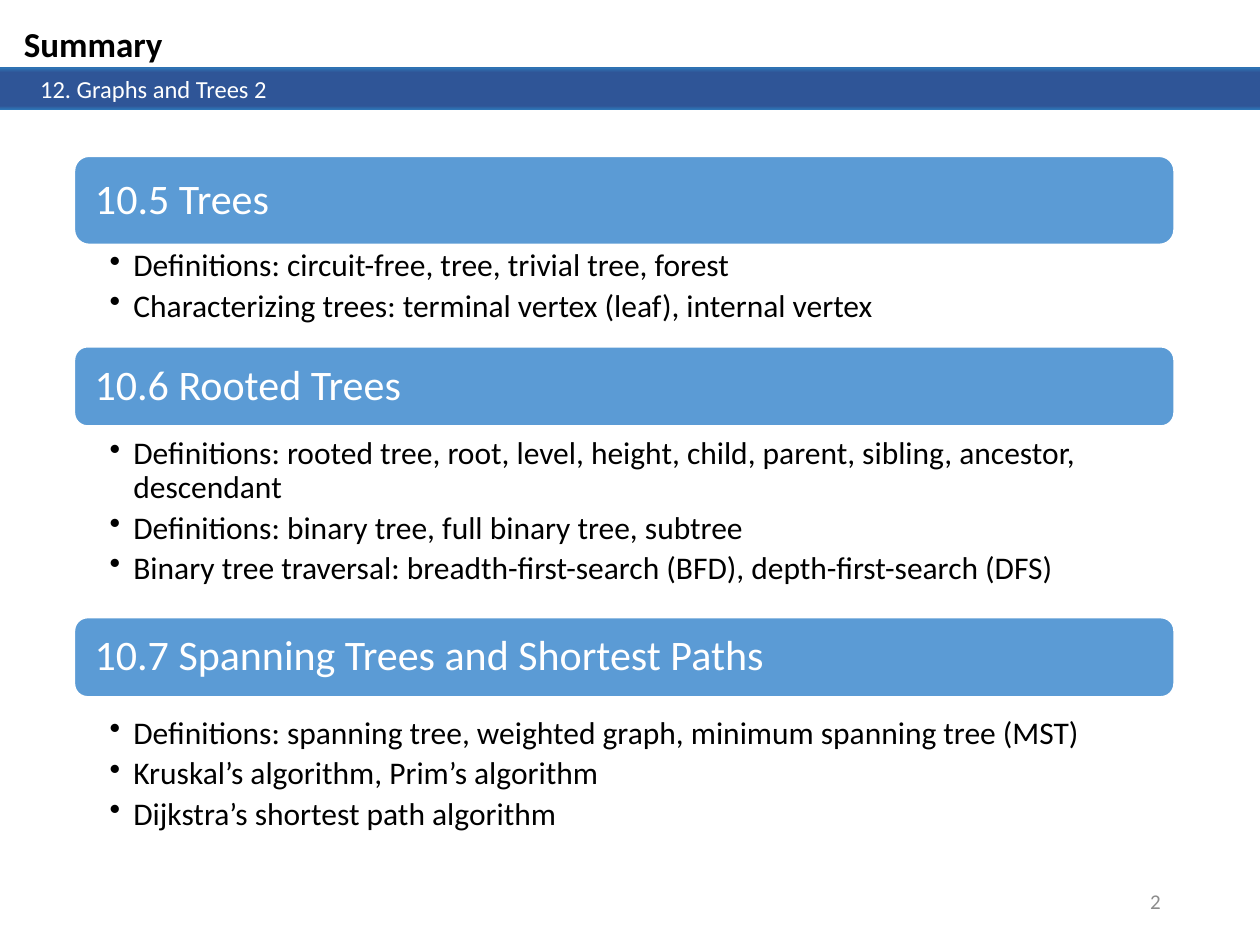
from dataclasses import dataclass

from lxml.etree import SubElement
from pptx import Presentation
from pptx.dml.color import RGBColor
from pptx.enum.shapes import MSO_SHAPE as Preset
from pptx.enum.text import MSO_ANCHOR as Anchor, PP_ALIGN as Align
from pptx.oxml import parse_xml
from pptx.oxml.ns import nsdecls, qn
from pptx.util import Cm, Pt


@dataclass(frozen=True)
class Theme:
    """Colours, font and type sizes of the slide."""
    font: str = "Calibri"
    white: str = "FFFFFF"
    black: str = "000000"
    grey: str = "8C8C8C"
    block: str = "5B9BD5"
    edge: str = "2E75B6"
    band: str = "2F5597"
    title: int = 20
    chapter: int = 14
    heading: int = 24
    body: int = 18
    number: int = 12


THEME = Theme()
SECTIONS = [
    ((1.5, 3.15, 22.17, 1.78), (4.95, 2.34), "10.5 Trees", [
        "Definitions: circuit-free, tree, trivial tree, forest",
        "Characterizing trees: terminal vertex (leaf), internal vertex",
    ]),
    ((1.5, 6.99, 22.17, 1.6), (8.74, 3.58), "10.6 Rooted Trees", [
        "Definitions: rooted tree, root, level, height, child, parent, sibling, ancestor, descendant",
        "Definitions: binary tree, full binary tree, subtree",
        "Binary tree traversal: breadth-first-search (BFD), depth-first-search (DFS)",
    ]),
    ((1.5, 12.45, 22.17, 1.6), (14.38, 2.57), "10.7 Spanning Trees and Shortest Paths", [
        "Definitions: spanning tree, weighted graph, minimum spanning tree (MST)",
        "Kruskal’s algorithm, Prim’s algorithm",
        "Dijkstra’s shortest path algorithm",
    ]),
]


def apply_format(target, values):
    """Set each named attribute on the target."""
    for name, value in values.items():
        setattr(target, name, value)


def write(shape, lines, size, color, bold=False, frame=None, para=None):
    """Fill a shape with formatted paragraphs and return them."""
    text = shape.text_frame
    apply_format(text, {"word_wrap": True, "vertical_anchor": Anchor.TOP, **(frame or {})})
    text.text = "\n".join(lines)
    for paragraph in text.paragraphs:
        apply_format(paragraph, {"alignment": Align.LEFT, **(para or {})})
        apply_format(paragraph.font, {"name": THEME.font, "size": Pt(size), "bold": bold})
        paragraph.font.color.rgb = RGBColor.from_string(color)
    return text.paragraphs


def add_label(slide, box, *args, **formats):
    """Place a text box and return its paragraphs."""
    return write(slide.shapes.add_textbox(*map(Cm, box)), *args, **formats)


def indent(paragraph, left, first=0):
    """Set the left margin and first-line indent of a paragraph."""
    properties = paragraph._p.get_or_add_pPr()
    properties.set("marL", str(Cm(left)))
    properties.set("indent", str(Cm(first)))
    return properties


def add_band(slide, box):
    """Draw one full-width bar with darker blue in its middle."""
    bar = slide.shapes.add_shape(Preset.RECTANGLE, *map(Cm, box))
    bar.shadow.inherit = False
    bar.line.fill.background()
    stops = [(0, THEME.edge), (11, THEME.band), (91, THEME.band), (100, THEME.edge)]
    marks = "".join(
        f'<a:gs pos="{place * 1000}"><a:srgbClr val="{color}"/></a:gs>' for place, color in stops)
    gradient = parse_xml(
        f'<a:gradFill {nsdecls("a")} rotWithShape="1"><a:gsLst>{marks}</a:gsLst>'
        '<a:lin ang="5400000" scaled="0"/></a:gradFill>')
    bar._element.spPr.find(qn("a:prstGeom")).addnext(gradient)
    return bar


def add_header(slide, box):
    """Place the chapter bars and the slide title."""
    left, top, width, height = box
    add_band(slide, (left, top + 1.02, width, 0.76))
    chapter = add_band(slide, (left, top + 1.04, width, height - 1.04))
    line, = write(chapter, ["12. Graphs and Trees 2"], THEME.chapter, THEME.white)
    indent(line, 0.56)
    add_label(slide, (left + 0.23, top, 6.83, 1.12), ["Summary"],
              THEME.title, THEME.black, bold=True)


def add_section(slide, box, body, heading, points):
    """Place a rounded heading and its bulleted points."""
    left, top, width, height = box
    block = slide.shapes.add_shape(Preset.ROUNDED_RECTANGLE, *map(Cm, box))
    block.shadow.inherit = False
    block.fill.solid()
    block.fill.fore_color.rgb = RGBColor.from_string(THEME.block)
    block.line.color.rgb = RGBColor.from_string(THEME.white)
    block.line.width = Pt(1)
    write(block, [heading], THEME.heading, THEME.white,
          frame={"margin_left": Cm(0.33), "vertical_anchor": Anchor.MIDDLE},
          para={"line_spacing": 0.9})
    body_top, body_height = body
    lines = add_label(
        slide, (left, body_top, width, body_height), points, THEME.body, THEME.black,
        frame={"margin_left": Cm(0.71), "margin_right": Cm(0.36),
               "margin_top": Cm(0.08), "margin_bottom": Cm(0.08)},
        para={"line_spacing": 0.9, "space_after": Pt(3.6), "level": 1})
    for line in lines:
        properties = indent(line, 0.48, -0.48)
        bullet = SubElement(properties, qn("a:buChar"), char="•")
        properties.find(qn("a:defRPr")).addprevious(bullet)


def add_page_number(slide, box):
    """Place the page number at the right of its box."""
    add_label(slide, box, ["2"], THEME.number, THEME.grey,
              frame={"vertical_anchor": Anchor.MIDDLE}, para={"alignment": Align.RIGHT})


def main():
    """Build and save the summary slide."""
    deck = Presentation()
    apply_format(deck, {"slide_width": Cm(25.4), "slide_height": Cm(19.05)})
    slide = deck.slides.add_slide(deck.slide_layouts[6])
    add_header(slide, (0, 0.33, 25.4, 1.88))
    for section in SECTIONS:
        add_section(slide, *section)
    add_page_number(slide, (17.93, 17.65, 5.72, 1.02))
    deck.save("out.pptx")


if __name__ == "__main__":
    main()
